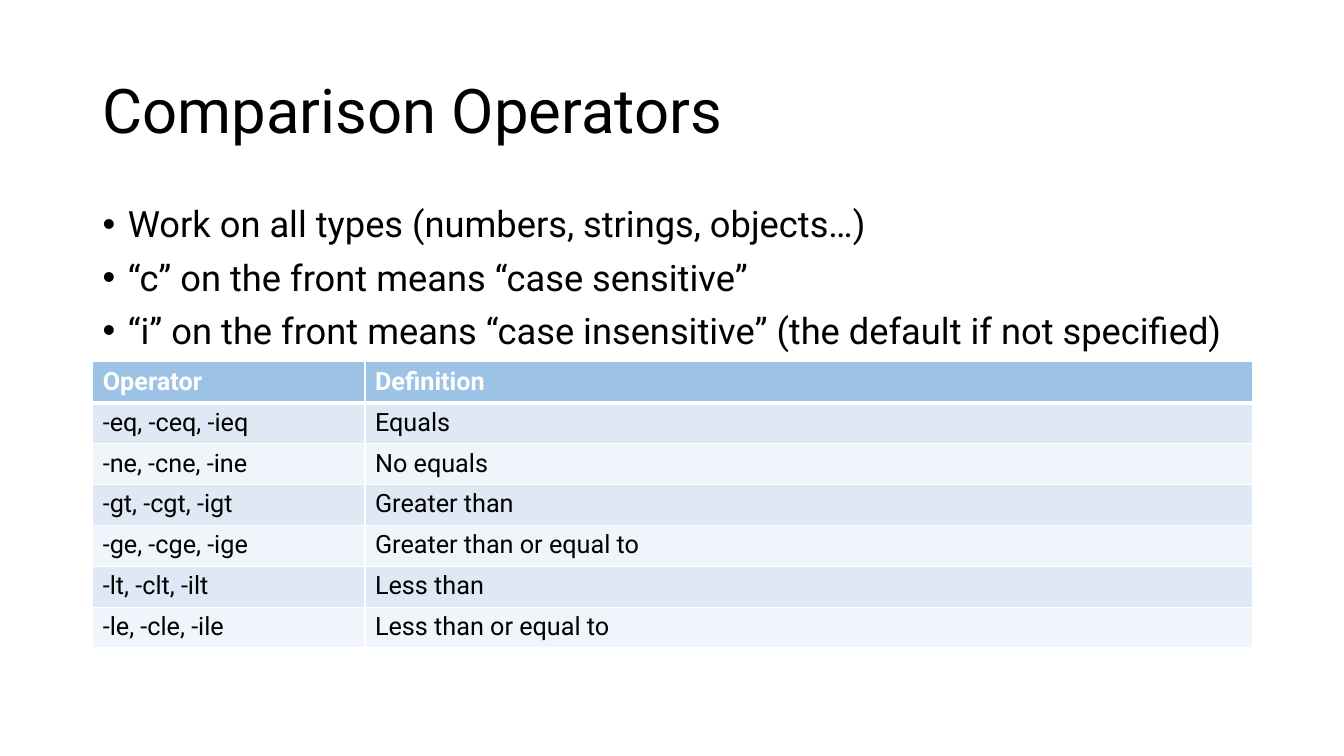
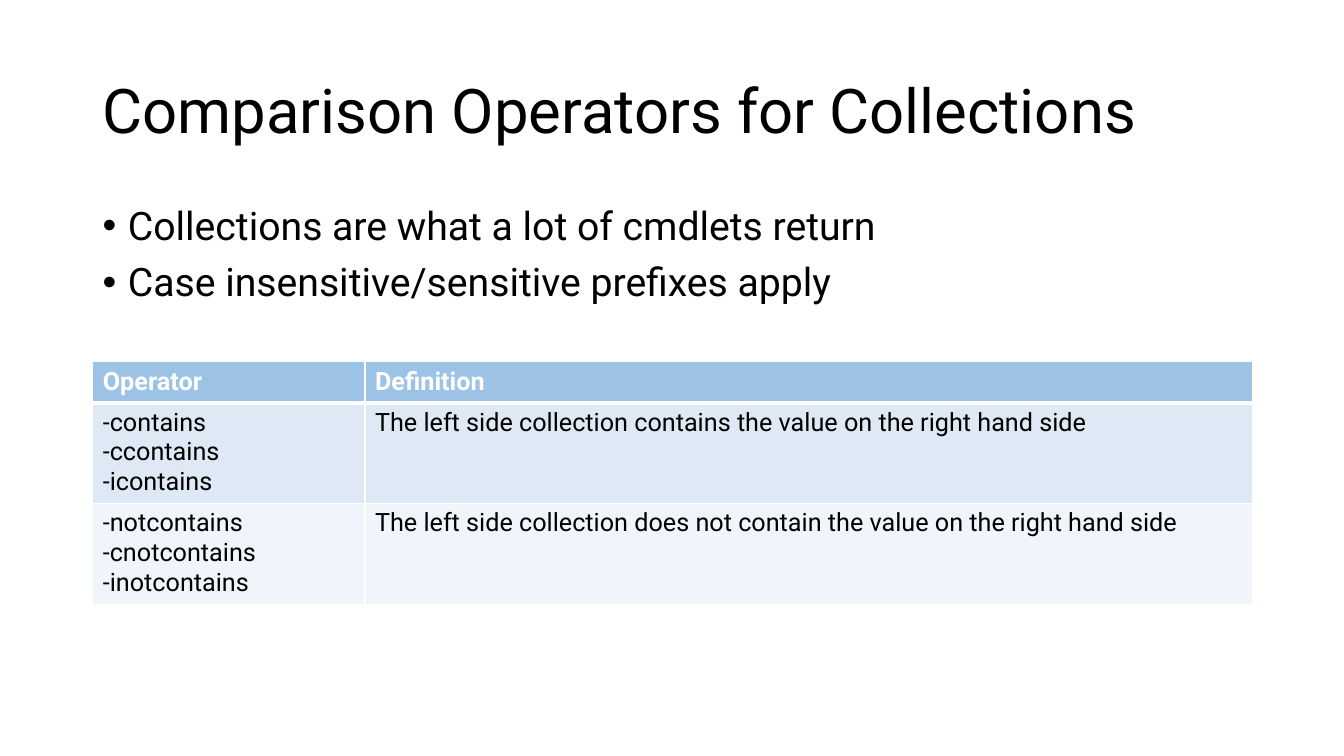
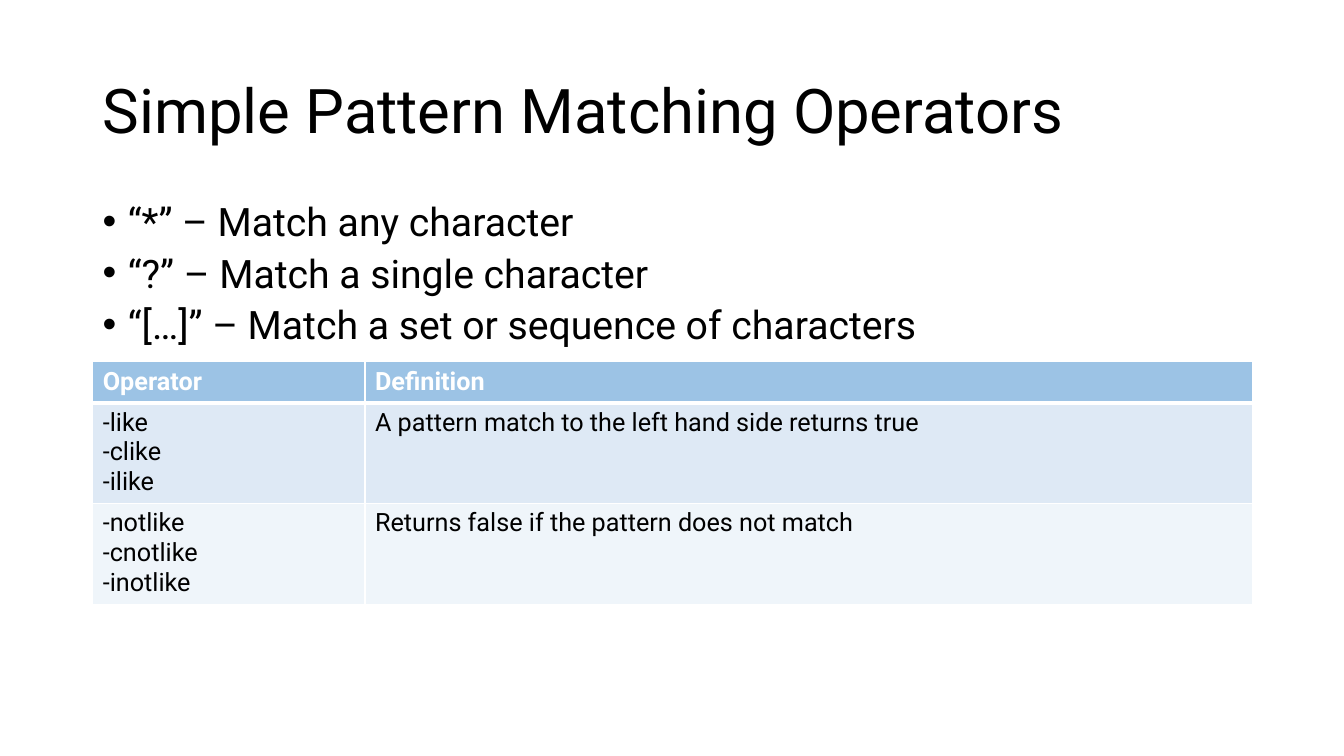
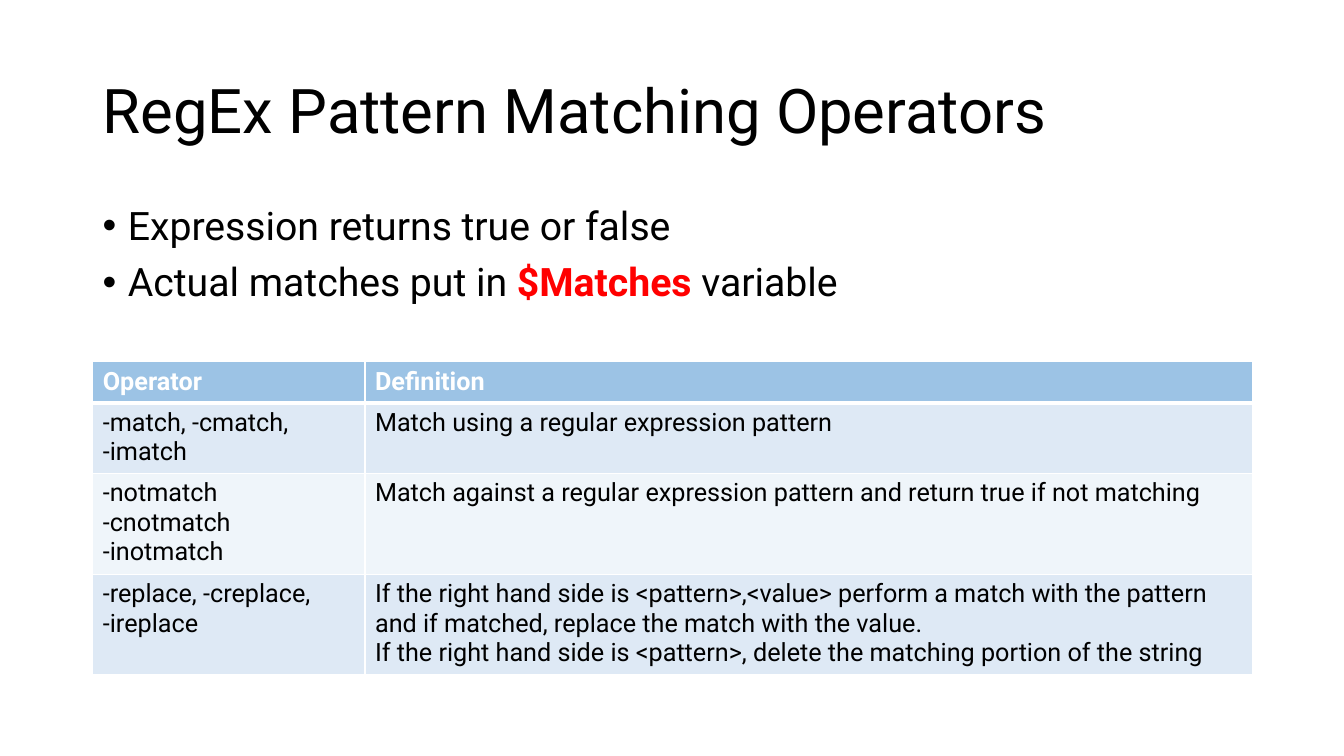
from pptx import Presentation
from pptx.dml.color import RGBColor
from pptx.enum.text import MSO_ANCHOR
from pptx.oxml.ns import qn
from pptx.util import Inches, Pt
from lxml.etree import SubElement

# Shared look
FONT = "Roboto"
BLACK = RGBColor(0x00, 0x00, 0x00)
WHITE = RGBColor(0xFF, 0xFF, 0xFF)
RED = RGBColor(0xFF, 0x00, 0x00)
HEADER_BLUE = RGBColor(0x9C, 0xC3, 0xE5)
BAND_BLUES = [RGBColor(0xDE, 0xE9, 0xF5), RGBColor(0xEF, 0xF5, 0xFA)]

# Shared boxes: left, top, width, height
LEFT, WIDTH = Inches(0.92), Inches(11.5)
TITLE_BOX = (LEFT, Inches(0.4), WIDTH, Inches(1.45))
BULLET_BOX = (LEFT, Inches(2), WIDTH, Inches(1.56))
TABLE_ORIGIN = (LEFT, Inches(3.59))
COLUMN_WIDTHS = [Inches(2.7), Inches(8.8)]
ROW_HEIGHT = Pt(29.2)
INDENT = Inches(0.25)
HEADINGS = ("Operator", "Definition")


def style_span(span, size, color=BLACK, bold=False):
    font = span.font
    font.name, font.size, font.bold = FONT, Pt(size), bold
    font.color.rgb = color


def add_text_frame(page, box):
    frame = page.shapes.add_textbox(*box).text_frame
    frame.word_wrap = True
    return frame


def add_title(page, box, text):
    frame = add_text_frame(page, box)
    frame.vertical_anchor = MSO_ANCHOR.MIDDLE
    frame.text = text
    para = frame.paragraphs[0]
    para.line_spacing = 0.9
    style_span(para.runs[0], 44)


def add_bullets(page, box, items, size, spacing):
    """Text between double asterisks is emphasised."""
    frame = add_text_frame(page, box)
    for index, item in enumerate(items):
        para = frame.add_paragraph() if index else frame.paragraphs[0]
        para.line_spacing = spacing
        para.space_before = Pt(10)
        for part, text in enumerate(item.split("**")):
            span = para.add_run()
            span.text = text
            key = part % 2 == 1
            style_span(span, size, RED if key else BLACK, key)
        # Bullet and hanging indent
        props = para._p.get_or_add_pPr()
        props.set("marL", str(INDENT))
        props.set("indent", str(-INDENT))
        SubElement(props, qn("a:buFont"), typeface="Arial")
        SubElement(props, qn("a:buChar"), char="•")


def set_borders(cell, top, bottom):
    props = cell._tc.get_or_add_tcPr()
    widths = {"lnL": 1, "lnR": 1, "lnT": top, "lnB": bottom}
    for position, (side, width) in enumerate(widths.items()):
        line = SubElement(props, qn("a:" + side), w=str(Pt(width)))
        fill = SubElement(line, qn("a:solidFill"))
        SubElement(fill, qn("a:srgbClr"), val=str(WHITE))
        props.insert(position, line)  # borders come before the cell fill


def add_operator_table(page, origin, rows):
    rows = [HEADINGS, *rows]
    table = page.shapes.add_table(
        len(rows), len(HEADINGS), *origin, WIDTH, ROW_HEIGHT * len(rows)).table
    table.horz_banding = False
    for column, width in zip(table.columns, COLUMN_WIDTHS):
        column.width = width
    for index, texts in enumerate(rows):
        header = index == 0
        for column, text in enumerate(texts):
            cell = table.cell(index, column)
            cell.text = text
            cell.fill.solid()
            cell.fill.fore_color.rgb = (
                HEADER_BLUE if header else BAND_BLUES[(index - 1) % 2])
            # A thick rule parts the header from the body
            set_borders(cell, top=3 if index == 1 else 1, bottom=3 if header else 1)
            for para in cell.text_frame.paragraphs:
                for span in para.runs:
                    style_span(span, 18, WHITE if header else BLACK, header)


def add_operator_slide(deck, title, bullets, rows, size=28, spacing=0.9):
    page = deck.slides.add_slide(deck.slide_layouts[6])
    add_title(page, TITLE_BOX, title)
    add_bullets(page, BULLET_BOX, bullets, size, spacing)
    add_operator_table(page, TABLE_ORIGIN, rows)


deck = Presentation()
deck.slide_width, deck.slide_height = Inches(13.33), Inches(7.5)

add_operator_slide(
    deck, "Comparison Operators",
    ["Work on all types (numbers, strings, objects…)",
     "“c” on the front means “case sensitive”",
     "“i” on the front means “case insensitive” (the default if not specified)"],
    [("-eq, -ceq, -ieq", "Equals"),
     ("-ne, -cne, -ine", "No equals"),
     ("-gt, -cgt, -igt", "Greater than"),
     ("-ge, -cge, -ige", "Greater than or equal to"),
     ("-lt, -clt, -ilt", "Less than"),
     ("-le, -cle, -ile", "Less than or equal to")],
    size=25.9)

add_operator_slide(
    deck, "Comparison Operators for Collections",
    ["Collections are what a lot of cmdlets return",
     "Case insensitive/sensitive prefixes apply"],
    [("-contains\v-ccontains\v-icontains",
      "The left side collection contains the value on the right hand side"),
     ("-notcontains\v-cnotcontains\n-inotcontains",
      "The left side collection does not contain the value on the right hand side")])

add_operator_slide(
    deck, "Simple Pattern Matching Operators",
    ["“*” – Match any character",
     "“?” – Match a single character",
     "“[…]” – Match a set or sequence of characters"],
    [("-like\v-clike\v-ilike",
      "A pattern match to the left hand side returns true"),
     ("-notlike\v-cnotlike\n-inotlike",
      "Returns false if the pattern does not match")],
    spacing=0.8)

add_operator_slide(
    deck, "RegEx Pattern Matching Operators",
    ["Expression returns true or false",
     "Actual matches put in **$Matches** variable"],
    [("-match, -cmatch,\v-imatch",
      "Match using a regular expression pattern"),
     ("-notmatch\v-cnotmatch\n-inotmatch",
      "Match against a regular expression pattern and return true if not matching"),
     ("-replace, -creplace,\n-ireplace",
      "If the right hand side is <pattern>,<value> perform a match with the pattern "
      "and if matched, replace the match with the value.\n"
      "If the right hand side is <pattern>, delete the matching portion of the string")])

deck.save("out.pptx")
